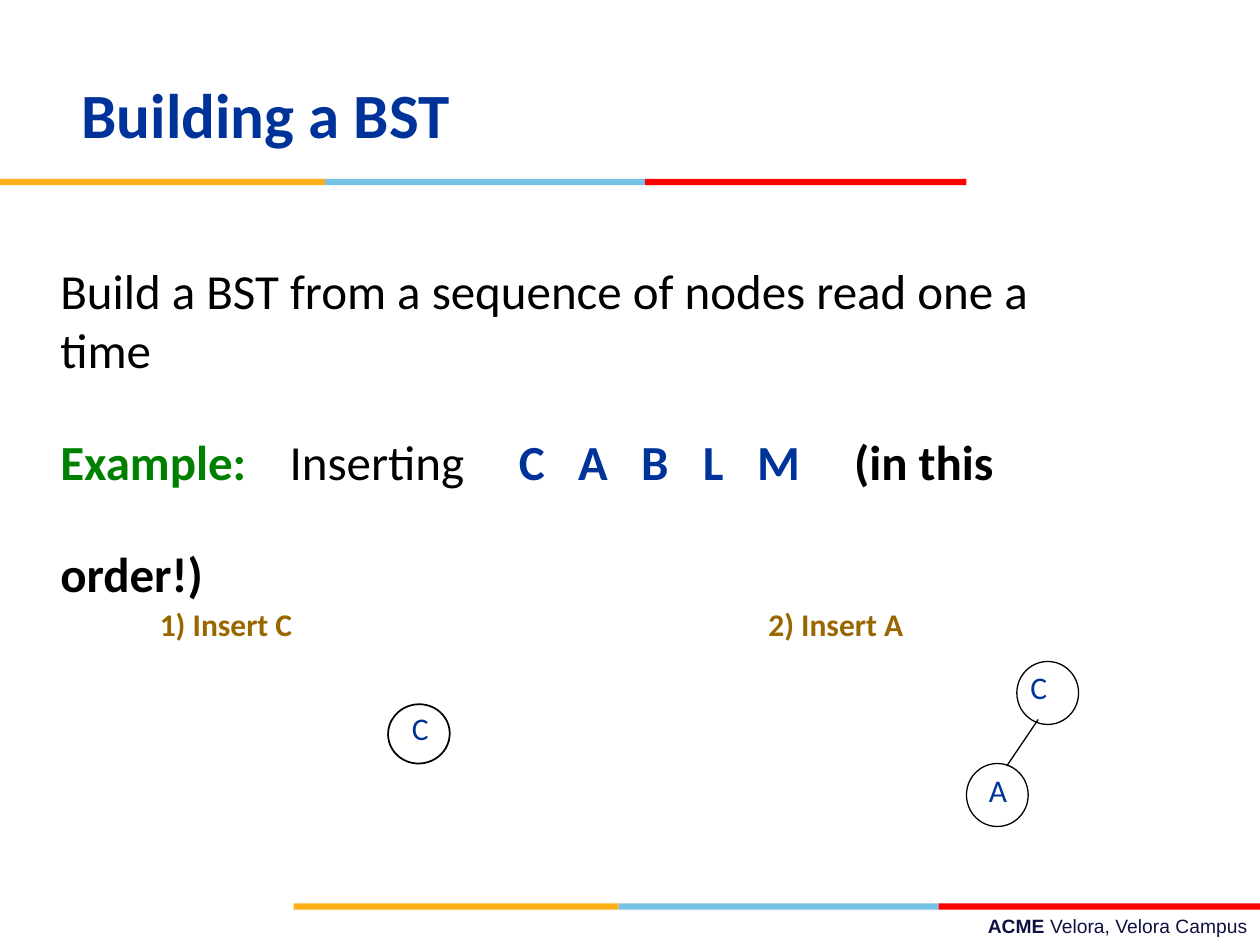
from lxml import etree
from pptx import Presentation
from pptx import util as u
from pptx.dml.color import RGBColor
from pptx.enum import shapes, text
from pptx.oxml.ns import qn

COLUMNS, ROWS = 100, 75
NAVY, GREEN, BROWN, BLACK = "003399", "008000", "996600", "000000"
STRIPE = (("FCB017", 25.8), ("76C2E5", 25.4), ("FF0000", 25.5))


def color(value):
    return RGBColor.from_string(value)


def write(para, words, size=18, font="Calibri", ink=BLACK, bold=False):
    span = para.add_run()
    span.text = words
    span.font.size = u.Pt(size)
    span.font.name = font
    span.font.bold = bold
    span.font.color.rgb = color(ink)


class Board:
    """Draws on one slide; all lengths are columns and rows of the grid."""

    def __init__(self, deck):
        self.column = deck.slide_width / COLUMNS
        self.row = deck.slide_height / ROWS
        self.page = deck.slides.add_slide(deck.slide_layouts[6])

    def across(self, columns):
        return u.Emu(round(columns * self.column))

    def down(self, rows):
        return u.Emu(round(rows * self.row))

    def place(self, left, top, width, height):
        return (self.across(left), self.down(top),
                self.across(width), self.down(height))

    def box(self, *area):
        """Add a wrapping text box and return its text frame."""
        frame = self.page.shapes.add_textbox(*self.place(*area)).text_frame
        frame.word_wrap = True
        return frame

    def label(self, words, *area, **style):
        write(self.box(*area).paragraphs[0], words, **style)

    def tabs(self, para, stops):
        """Set left tab stops, given in columns from the text edge."""
        tab_list = etree.SubElement(para._p.get_or_add_pPr(), qn("a:tabLst"))
        for stop in stops:
            etree.SubElement(tab_list, qn("a:tab"),
                             pos=str(self.across(stop)), algn="l")

    def stripe(self, left, top):
        for fill, width in STRIPE:
            bar = self.page.shapes.add_shape(
                shapes.MSO_SHAPE.RECTANGLE, *self.place(left, top, width, 0.5))
            bar.shadow.inherit = False
            bar.fill.solid()
            bar.fill.fore_color.rgb = color(fill)
            bar.line.fill.background()
            left += width

    def node(self, letter, left, top, height, shift, weight=0.75, turn=0):
        """Add a circle whose letter box starts shift columns and rows away."""
        circle = self.page.shapes.add_shape(
            shapes.MSO_SHAPE.OVAL, *self.place(left, top, 4.9, height))
        circle.shadow.inherit = False
        circle.fill.background()
        circle.line.color.rgb = color(BLACK)
        circle.line.width = u.Pt(weight)
        circle.rotation = turn
        self.label(letter, left + shift[0], top + shift[1], 3, 3.6, ink=NAVY)

    def edge(self, start, end):
        line = self.page.shapes.add_connector(
            shapes.MSO_CONNECTOR.STRAIGHT,
            self.across(start[0]), self.down(start[1]),
            self.across(end[0]), self.down(end[1]))
        line.line.color.rgb = color(BLACK)
        line.line.width = u.Pt(0.75)
        etree.SubElement(line._element.spPr, qn("a:effectLst"))


def add_frame(board):
    board.stripe(0, 14.2)
    board.stripe(23.3, 71.7)
    footer = board.box(35.8, 72.1, 64.2, 2.9).paragraphs[0]
    footer.alignment = text.PP_ALIGN.RIGHT
    for words, bold in (("ACME ", True), ("Velora, Velora Campus", False)):
        write(footer, words, size=11, font="Arial", ink="101141", bold=bold)
    board.label("Building a BST", 5.5, 5.5, 55.5, 8.6,
                size=36, ink=NAVY, bold=True)


def add_task(board):
    frame = board.box(3.8, 20.2, 83.9, 13.7)
    write(frame.paragraphs[0],
          "Build a BST from a sequence of nodes read one a time", size=28)
    example = frame.add_paragraph()
    example.line_spacing = 1.9
    board.tabs(example, (18.2, 36.4, 41.1, 46.1, 51, 55.3, 63))
    for words, ink, bold in (("Example:", GREEN, True),
                             ("\tInserting", BLACK, False),
                             ("\tC\tA\tB\tL\tM", NAVY, True),
                             ("\t(in this order!)", BLACK, True)):
        write(example, words, size=28, ink=ink, bold=bold)


def add_steps(board):
    for words, left in (("1) Insert C", 11.7), ("2) Insert A", 60)):
        board.label(words, left, 47.5, 16, 3.7, ink=BROWN, bold=True)
    board.node("C", 30.8, 55.9, 4.7, (0.9, -0.1), weight=1, turn=351)
    board.node("C", 80.7, 52.5, 5, (0.1, 0))
    board.node("A", 76.7, 60.6, 5, (0.8, 0.1))
    board.edge((79.9, 60.8), (82.4, 57.1))


def main():
    deck = Presentation()
    deck.slide_width, deck.slide_height = u.Inches(10), u.Inches(7.5)
    board = Board(deck)
    add_frame(board)
    add_task(board)
    add_steps(board)
    deck.save("out.pptx")


if __name__ == "__main__":
    main()
